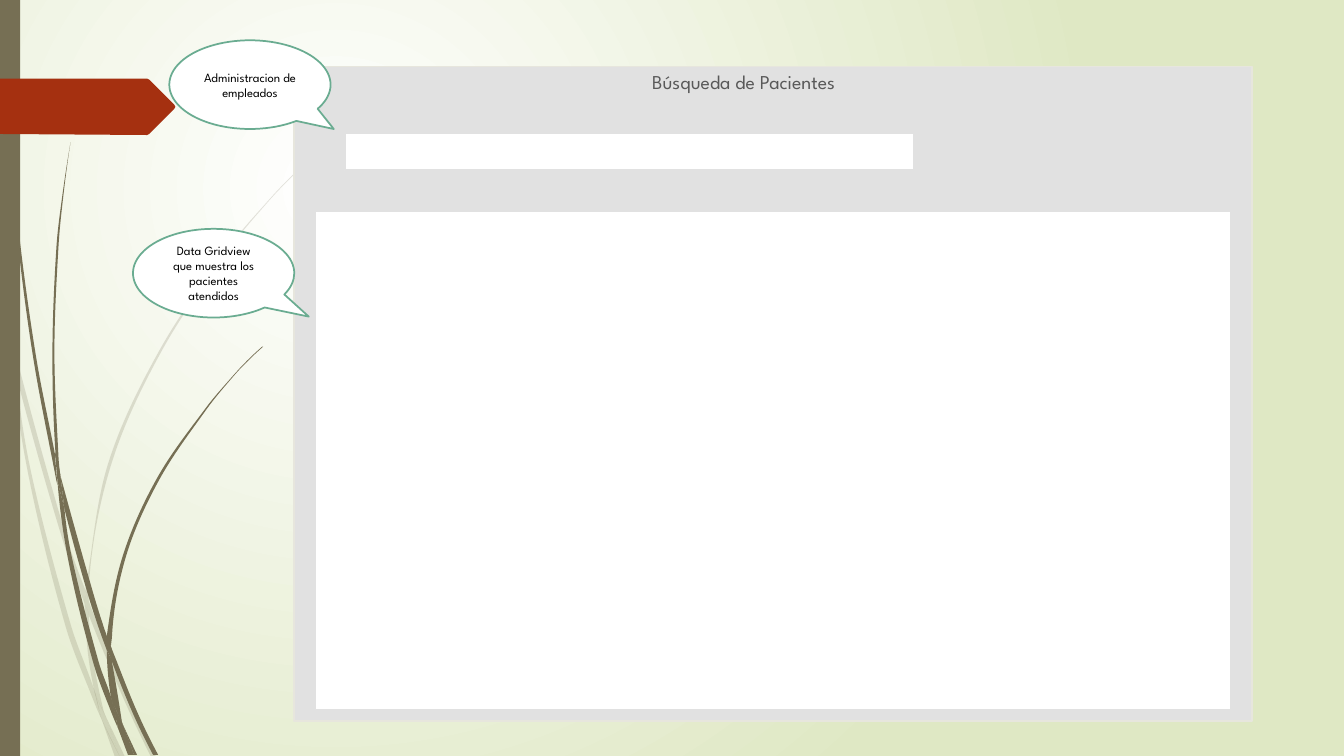
from dataclasses import dataclass
from math import dist

from lxml import etree
from pptx import Presentation
from pptx.dml.color import RGBColor
from pptx.enum.shapes import MSO_SHAPE
from pptx.enum.text import MSO_ANCHOR, MSO_AUTO_SIZE, PP_ALIGN
from pptx.oxml import parse_xml
from pptx.oxml.ns import nsdecls, qn
from pptx.util import Pt

PX = 9144


@dataclass(frozen=True)
class Theme:
    font: str = "League Spartan"
    title_size: int = 14
    note_size: int = 9
    line_width: float = 1.25
    glow: str = "FFFFFF"
    meadow: str = "DFE8C4"
    stem: str = "766F54"
    banner: str = "A53010"
    panel: str = "E1E1E1"
    panel_line: str = "E7E6DD"
    field: str = "FFFFFF"
    note_line: str = "6AAC91"
    title: str = "595959"
    note: str = "000000"


THEME = Theme()

PALE_BLADES = [
    ([(0, 282), (9, 322), (11, 350)], [(10, 344), (0, 299)]),
    ([(14, 345), (62, 520), (85, 586)], [(84, 599), (58, 522), (17, 376)]),
    ([(88, 596), (92, 607), (127, 692), (155, 751)], [(150, 751), (123, 694), (88, 610)]),
    ([(105, 711), (124, 751)], [(119, 751)]),
    ([(11, 350), (28, 470), (65, 621), (92, 693), (101, 714)],
     [(99, 707), (93, 683), (70, 619), (31, 469), (17, 376)]),
    ([(84, 599), (87, 646), (93, 683), (96, 692), (105, 711)],
     [(103, 706), (91, 646), (88, 610), (88, 608)]),
    ([(88, 584), (110, 462), (160, 349), (229, 245), (268, 198), (290, 175), (312, 154)],
     [(312, 153), (289, 175), (268, 197), (228, 244), (158, 348), (107, 461), (85, 584),
      (85, 586), (88, 596)]),
    ([(101, 714), (114, 751)], [(119, 751)]),
    ([(88, 608), (88, 610), (88, 596)], [(85, 586), (84, 599)]),
    ([(93, 683), (99, 707), (101, 714), (119, 751)], [(105, 711), (96, 692)]),
]

DARK_BLADES = [
    ([(3, 0), (4, 48), (7, 110), (17, 233), (33, 355), (56, 477), (57, 481)],
     [(55, 457), (55, 453), (36, 355), (19, 232), (8, 109), (5, 48), (4, 0)]),
    ([(60, 472), (93, 590), (106, 631)], [(106, 645), (88, 592), (64, 505)]),
    ([(110, 641), (113, 649), (136, 706), (157, 749)], [(152, 749), (132, 708), (111, 656)]),
    ([(57, 477), (68, 557), (93, 659), (111, 708), (117, 722)],
     [(116, 717), (110, 691), (98, 657), (72, 556), (64, 505)]),
    ([(60, 472), (58, 453), (54, 349), (58, 245), (63, 193), (70, 141)],
     [(70, 141), (62, 193), (56, 245), (52, 349), (55, 449), (60, 472)]),
    ([(122, 719), (136, 749)], [(133, 749)]),
    ([(57, 477), (64, 505)], [(60, 472), (55, 449), (55, 453)]),
    ([(111, 633), (125, 552), (158, 476), (205, 406), (231, 374), (245, 359), (261, 344)],
     [(260, 344), (245, 358), (231, 373), (204, 405), (156, 474), (122, 551), (106, 631),
      (110, 641)]),
    ([(117, 722), (127, 749)], [(131, 749)]),
    ([(106, 645), (110, 691), (116, 706), (122, 719)], [(121, 716), (111, 656), (109, 651)]),
    ([(106, 645), (109, 651), (111, 656), (110, 641)], [(106, 631), (106, 633)]),
    ([(110, 691), (116, 717), (117, 722), (130, 749)], [(133, 749), (122, 719), (116, 706)]),
]

BANNER = [(0, 78), (146, 78), (148, 79), (173, 104), (174, 106),
          (173, 108), (148, 133), (146, 134), (0, 133)]


def rgb(color):
    return RGBColor.from_string(color)


def px(*lengths):
    return [round(length * PX) for length in lengths]


def paint(sp, fill, line=None):
    sp.shadow.inherit = False
    sp.fill.solid()
    sp.fill.fore_color.rgb = rgb(fill)
    if line:
        sp.line.color.rgb = rgb(line)
        sp.line.width = Pt(THEME.line_width)
    else:
        sp.line.fill.background()


def format_text(p, size, color, align):
    p.alignment = align
    for r in p.runs:
        r.font.name = THEME.font
        r.font.size = Pt(size)
        r.font.color.rgb = rgb(color)


def set_background(s):
    fill = s.background.fill
    fill.gradient()
    for stop, color in zip(fill.gradient_stops, (THEME.glow, THEME.meadow)):
        stop.color.rgb = rgb(color)
    lin = s.element.find(".//" + qn("a:lin"))
    lin.getparent().replace(lin, parse_xml(
        f'<a:path {nsdecls("a")} path="circle">'
        '<a:fillToRect l="50000" t="50000" r="100000" b="100000"/></a:path>'))


def move(point, direction, length):
    return point[0] + direction[0] * length, point[1] + direction[1] * length


def heading(a, b):
    span = dist(a, b) or 1
    return (b[0] - a[0]) / span, (b[1] - a[1]) / span


def mirror(chord, direction):
    turn = 2 * (chord[0] * direction[0] + chord[1] * direction[1])
    return turn * chord[0] - direction[0], turn * chord[1] - direction[1]


def bezier(points):
    inner = [heading(a, b) for a, b in zip(points, points[2:])]
    if inner:
        first = mirror(heading(*points[:2]), inner[0])
        last = mirror(heading(*points[-2:]), inner[-1])
        headings = [first, *inner, last]
    else:
        headings = [heading(points[0], points[-1])] * len(points)
    curve = []
    for i, (a, b) in enumerate(zip(points, points[1:])):
        third = dist(a, b) / 3
        curve += [move(a, headings[i], third), move(b, headings[i + 1], -third), b]
    return curve


def add_outline(shapes, points, color):
    start, *rest = [px(*point) for point in points]
    builder = shapes.build_freeform(*start)
    builder.add_line_segments(rest, close=True)
    sp = builder.convert_to_shape()
    paint(sp, color)
    return sp


def bend(sp):
    lines = list(sp.element.iter(qn("a:lnTo")))
    for triple in zip(lines[::3], lines[1::3], lines[2::3]):
        curve = etree.Element(qn("a:cubicBezTo"))
        triple[0].addprevious(curve)
        for line in triple:
            curve.append(line[0])
            line.getparent().remove(line)


def add_blades(s, blades, alpha=None):
    group = s.shapes.add_group_shape()
    for outer, inner in blades:
        join = bezier([outer[-1], inner[0]])
        points = [outer[0], *bezier(outer), *join, *bezier(inner)]
        sp = add_outline(group.shapes, points, THEME.stem)
        bend(sp)
        if alpha:
            color = sp.element.spPr.find(qn("a:solidFill"))[0]
            color.append(parse_xml(f'<a:alpha {nsdecls("a")} val="{alpha * 1000}"/>'))


def add_box(s, box, fill, line=None):
    sp = s.shapes.add_shape(MSO_SHAPE.RECTANGLE, *px(*box))
    paint(sp, fill, line)


def set_title(s, text, box):
    sp = s.shapes.title
    sp.element.getparent().append(sp.element)
    sp.left, sp.top, sp.width, sp.height = px(*box)
    tf = sp.text_frame
    tf.text = text
    tf.word_wrap = True
    tf.auto_size = MSO_AUTO_SIZE.NONE
    tf.vertical_anchor = MSO_ANCHOR.TOP
    format_text(tf.paragraphs[0], THEME.title_size, THEME.title, PP_ALIGN.LEFT)


def add_callout(s, text, box, tail):
    sp = s.shapes.add_shape(MSO_SHAPE.OVAL_CALLOUT, *px(*box))
    sp.adjustments[0], sp.adjustments[1] = tail
    paint(sp, THEME.field, THEME.note_line)
    tf = sp.text_frame
    tf.text = text
    tf.word_wrap = True
    tf.vertical_anchor = MSO_ANCHOR.MIDDLE
    format_text(tf.paragraphs[0], THEME.note_size, THEME.note, PP_ALIGN.CENTER)


def main():
    prs = Presentation()
    prs.slide_width, prs.slide_height = px(1333.33, 750)
    s = prs.slides.add_slide(prs.slide_layouts[5])
    set_background(s)
    add_blades(s, PALE_BLADES, alpha=20)
    add_blades(s, DARK_BLADES)
    add_box(s, (0, 0, 20, 750), THEME.stem)
    add_outline(s.shapes, BANNER, THEME.banner)
    add_box(s, (292, 66, 950, 649), THEME.panel, THEME.panel_line)
    set_title(s, "Búsqueda de Pacientes", (637, 64, 260, 41))
    for field in ((342, 132, 565, 37), (313, 209, 908, 495)):
        add_box(s, field, THEME.field, THEME.panel)
    add_callout(s, "Administracion de empleados", (168, 40, 160, 88), (0.52, 0.5))
    add_callout(s, "Data Gridview que muestra los pacientes atendidos",
                (132, 227, 160, 88), (0.59, 0.49))
    prs.save("out.pptx")


if __name__ == "__main__":
    main()
